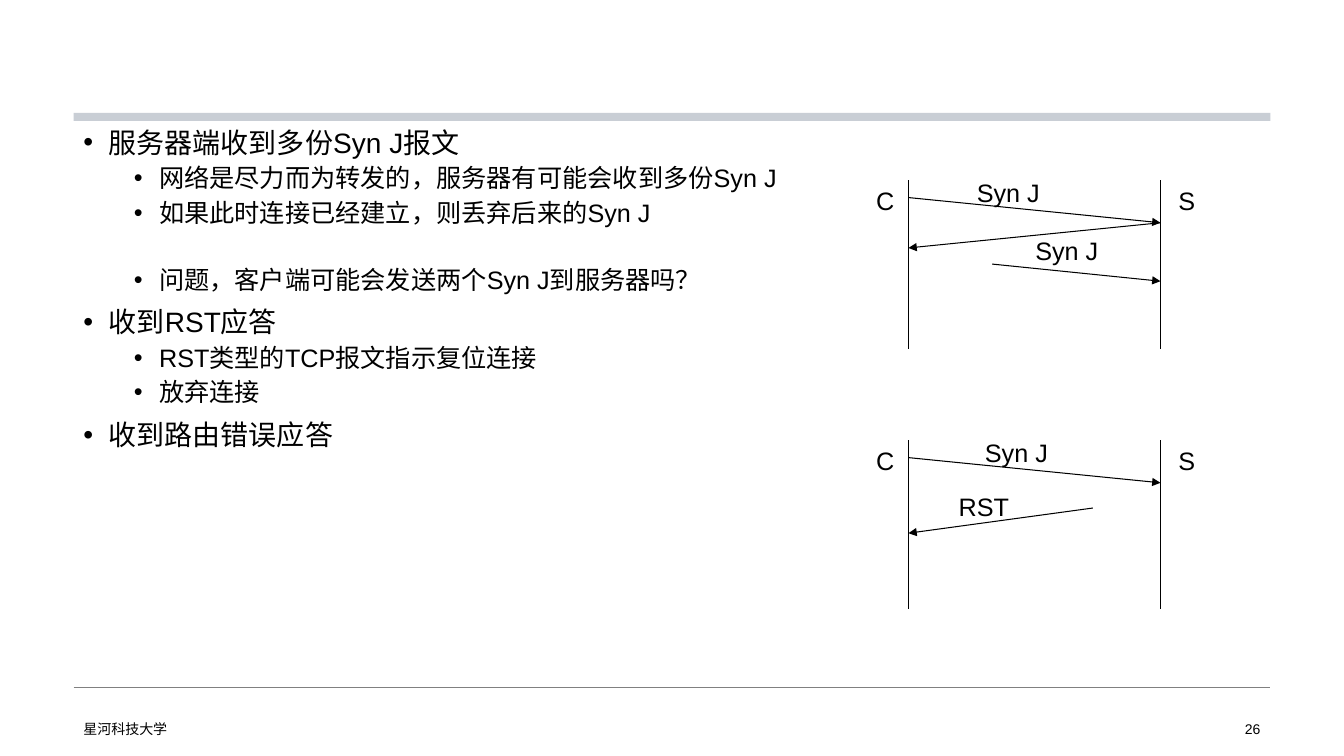
import pptx
import pptx.dml.color
import pptx.enum.shapes
import pptx.enum.text
import pptx.oxml
import pptx.oxml.ns
import pptx.util
from pptx.util import Inches, Pt

# Content
FONT = "Arial"
BLACK = "000000"
# level, text, space before (pt)
BULLETS = [
    (0, "服务器端收到多份Syn J报文", 10),
    (1, "网络是尽力而为转发的，服务器有可能会收到多份Syn J", 5),
    (1, "如果此时连接已经建立，则丢弃后来的Syn J", 5),
    (1, "问题，客户端可能会发送两个Syn J到服务器吗？", 28.5),
    (0, "收到RST应答", 10),
    (1, "RST类型的TCP报文指示复位连接", 5),
    (1, "放弃连接", 5),
    (0, "收到路由错误应答", 10),
]
LEVELS = [(20, 0.25), (18, 0.75)]  # size, left margin
FOOTER = "星河科技大学"
PAGE = "26"

# Sequence diagrams; y values are measured from the diagram's top
CLIENT_X, SERVER_X, LIFELINE = 9.01, 11.51, 1.67
DIAGRAMS = [
    {"top": 1.79,
     "arrows": [(CLIENT_X, 0.17, SERVER_X, 0.42),
                (SERVER_X, 0.42, CLIENT_X, 0.67),
                (9.84, 0.83, SERVER_X, 1.0)],
     "labels": [("Syn J", 9.59, -0.08, 0.83), ("Syn J", 10.17, 0.5, 0.83)]},
    {"top": 4.37,
     "arrows": [(CLIENT_X, 0.17, SERVER_X, 0.42),
                (10.84, 0.67, CLIENT_X, 0.92)],
     "labels": [("Syn J", 9.67, -0.08, 0.83), ("RST", 9.41, 0.46, 0.7)]},
]


def color(hex_string):
    return pptx.dml.color.RGBColor.from_string(hex_string)


def add_xml(parent, tag, attrs=""):
    ns = pptx.oxml.ns.nsdecls("a")
    parent.append(pptx.oxml.parse_xml(f"<a:{tag} {ns} {attrs}/>"))


def add_line(s, x1, y1, x2, y2, line=BLACK, width=0.75, arrow=False):
    c = s.shapes.add_connector(
        pptx.enum.shapes.MSO_CONNECTOR.STRAIGHT,
        Inches(x1), Inches(y1), Inches(x2), Inches(y2))
    c.line.color.rgb = color(line)
    c.line.width = Pt(width)
    if arrow:
        add_xml(c.line._get_or_add_ln(), "tailEnd", 'type="triangle"')
    add_xml(c._element.spPr, "effectLst")


def style(p, size):
    for r in p.runs:
        r.font.name = FONT
        r.font.size = Pt(size)
        r.font.color.rgb = color(BLACK)


def add_text(s, text, x, y, w, h, size=18, wrap=False, middle=False, right=False):
    tf = s.shapes.add_textbox(Inches(x), Inches(y), Inches(w), Inches(h)).text_frame
    tf.word_wrap = wrap
    tf.text = text
    if middle:
        tf.vertical_anchor = pptx.enum.text.MSO_ANCHOR.MIDDLE
    if right:
        tf.paragraphs[0].alignment = pptx.enum.text.PP_ALIGN.RIGHT
    for p in tf.paragraphs:
        style(p, size)
    return tf


def add_bullets(s):
    tf = add_text(s, "\n".join(text for _, text, _ in BULLETS),
                  0.73, 1.23, 11.87, 5.49, wrap=True)
    for p, (level, _, before) in zip(tf.paragraphs, BULLETS):
        size, margin = LEVELS[level]
        p.level = level
        p.line_spacing = 0.9
        p.space_before = Pt(before)
        style(p, size)
        pPr = p._p.get_or_add_pPr()
        pPr.set("marL", str(Inches(margin)))
        pPr.set("indent", str(Inches(-0.25)))
        add_xml(pPr, "buFont", f'typeface="{FONT}"')
        add_xml(pPr, "buChar", 'char="•"')


def add_diagram(s, top, arrows, labels):
    for x in (SERVER_X, CLIENT_X):
        add_line(s, x, top, x, top + LIFELINE)
    for x1, y1, x2, y2 in arrows:
        add_line(s, x1, top + y1, x2, top + y2, arrow=True)
    ends = [("S", SERVER_X + 0.08, 0, 0.37), ("C", CLIENT_X - 0.42, 0, 0.38)]
    for text, x, y, w in ends + labels:
        add_text(s, text, x, top + y, w, 0.4)


def main():
    prs = pptx.Presentation()
    prs.slide_width, prs.slide_height = Inches(13.33), Inches(7.5)
    s = prs.slides.add_slide(prs.slide_layouts[6])

    # Frame: footer rule and top bar
    add_line(s, 0.73, 6.82, 12.6, 6.82, "808080", 0.5)
    bar = s.shapes.add_shape(pptx.enum.shapes.MSO_SHAPE.RECTANGLE,
                             Inches(0.73), Inches(1.12), Inches(11.87), Inches(0.08))
    bar.shadow.inherit = False
    bar.fill.solid()
    bar.fill.fore_color.rgb = color("C9CED5")
    bar.line.fill.background()

    # Body and footer
    add_bullets(s)
    add_text(s, FOOTER, 0.73, 7.12, 4.53, 0.23, 10, wrap=True, middle=True)
    add_text(s, PAGE, 9.42, 7.12, 3.18, 0.23, 10, wrap=True, middle=True, right=True)

    # Sequence diagrams
    for d in DIAGRAMS:
        add_diagram(s, d["top"], d["arrows"], d["labels"])

    prs.save("out.pptx")


if __name__ == "__main__":
    main()
